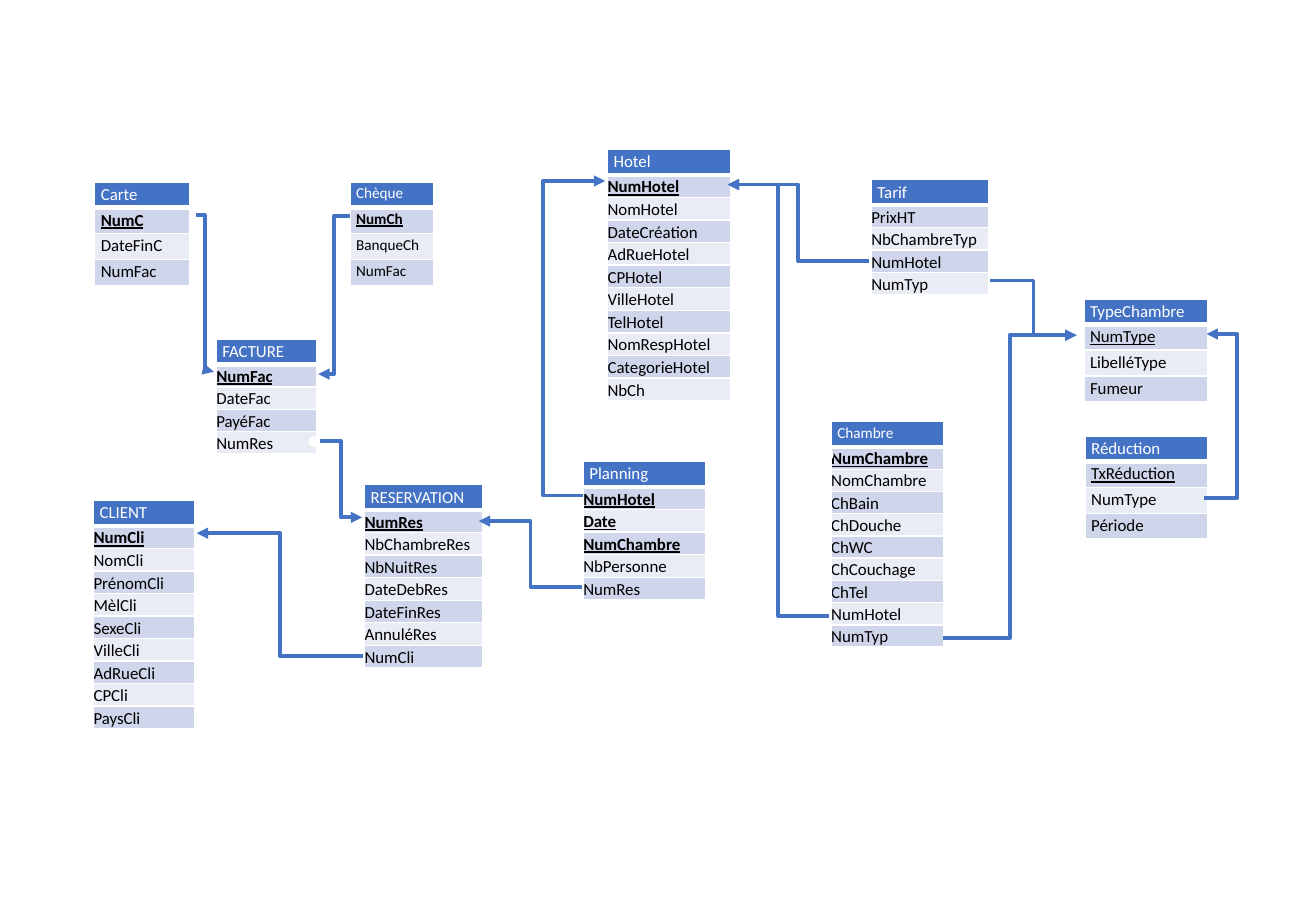
from lxml import etree
from pptx import Presentation
from pptx.dml.color import RGBColor
from pptx.enum.shapes import MSO_CONNECTOR, MSO_SHAPE
from pptx.enum.text import MSO_ANCHOR
from pptx.oxml.ns import qn
from pptx.util import Inches, Pt

ELBOW = MSO_CONNECTOR.ELBOW
OVAL = MSO_SHAPE.OVAL
TOP, BOTTOM = MSO_ANCHOR.TOP, MSO_ANCHOR.BOTTOM

COLORS = {
    "blue": "4472C4",
    "odd": "CFD5EA",
    "even": "E9EBF5",
    "white": "FFFFFF",
    "black": "000000",
}
FONT = "Calibri"
HEADER_HEIGHT = 0.21
DOT_SIZE = 0.09

# left, top, width, height, name, fields, format
ENTITIES = [
    (1.78, 2.79, 0.83, 0.95, "FACTURE", "NumFac DateFac PayéFac NumRes", {}),
    (2.88, 1.5, 0.69, 0.85, "Chèque", "NumCh BanqueCh NumFac",
     {"padded": True, "size": 9, "header_size": 9}),
    (0.78, 1.5, 0.78, 0.85, "Carte", "NumC DateFinC NumFac", {"padded": True}),
    (0.77, 4.12, 0.83, 1.88, "CLIENT",
     "NumCli NomCli PrénomCli MèlCli SexeCli VilleCli AdRueCli CPCli PaysCli", {}),
    (3, 3.99, 0.97, 1.51, "RESERVATION",
     "NumRes NbChambreRes NbNuitRes DateDebRes DateFinRes AnnuléRes NumCli", {}),
    (5, 1.23, 1.01, 2.07, "Hotel",
     "NumHotel NomHotel DateCréation AdRueHotel CPHotel VilleHotel TelHotel "
     "NomRespHotel CategorieHotel NbCh", {}),
    (7.17, 1.48, 0.97, 0.95, "Tarif", "PrixHT NbChambreTyp NumHotel NumTyp", {"keys": 0}),
    (8.92, 2.46, 1.02, 0.85, "TypeChambre", "NumType LibelléType Fumeur",
     {"padded": True, "bold_keys": False}),
    (8.93, 3.59, 1.01, 0.85, "Réduction", "TxRéduction NumType Période",
     {"padded": True, "bold_keys": False}),
    (4.8, 3.8, 1.01, 1.14, "Planning", "NumHotel Date NumChambre NbPersonne NumRes",
     {"keys": 3}),
    (6.84, 3.47, 0.93, 1.86, "Chambre",
     "NumChambre NomChambre ChBain ChDouche ChWC ChCouchage ChTel NumHotel NumTyp",
     {"header_size": 9}),
]

DOTS = [(2.54, 3.59), (6.77, 3.7)]

# start, end, x of the vertical part (None: halfway)
LINKS = [
    ((1.61, 1.77), (1.76, 3.06), None),
    ((2.88, 1.78), (2.62, 3.08), None),
    ((2.63, 3.63), (2.98, 4.26), None),
    ((4.79, 4.83), (3.94, 4.29), None),
    ((4.8, 4.08), (4.98, 1.49), 4.47),
    ((2.99, 5.4), (1.62, 4.39), None),
    ((6.82, 5.07), (5.99, 1.52), None),
    ((7.15, 2.15), (5.99, 1.52), None),
    ((9.91, 4.1), (9.93, 2.75), 10.18),
    ((8.15, 2.31), (8.86, 2.76), None),
    ((7.76, 5.25), (8.86, 2.76), None),
]


def rgb(name):
    return RGBColor.from_string(COLORS[name])


def write(frame, text, *, size=10, color="black", bold=False, underline=False):
    span = frame.paragraphs[0].add_run()
    span.text = text
    font = span.font
    font.name, font.size = FONT, Pt(size)
    font.bold, font.underline = bold, underline
    font.color.rgb = rgb(color)


class Diagram:
    """Draws the elements of a relational schema on one slide."""

    def __init__(self, page):
        self.page = page

    def style_cell(self, cell, fill, padded, bottom_width):
        cell.margin_left = cell.margin_right = Inches(0.05 if padded else 0)
        cell.margin_top = cell.margin_bottom = Inches(0.02 if padded else 0)
        cell.vertical_anchor = TOP if padded else BOTTOM
        properties = cell._tc.get_or_add_tcPr()
        for side in ("lnL", "lnR", "lnT", "lnB"):
            width = bottom_width if side == "lnB" else 1
            border = etree.SubElement(properties, qn(f"a:{side}"), w=str(Pt(width)))
            solid = etree.SubElement(border, qn("a:solidFill"))
            etree.SubElement(solid, qn("a:srgbClr"), val=COLORS["white"])
        cell.fill.solid()
        cell.fill.fore_color.rgb = rgb(fill)

    def entity(self, left, top, width, height, name, fields, *, keys=1,
               bold_keys=True, padded=False, size=10, header_size=10):
        """Adds a table with a header and one row a field; the first fields are keys."""
        fields = fields.split()
        table = self.page.shapes.add_table(
            len(fields) + 1, 1, Inches(left), Inches(top), Inches(width), Inches(height)
        ).table
        table.first_row = table.horz_banding = False
        table.rows[0].height = Inches(HEADER_HEIGHT)
        header = table.cell(0, 0)
        self.style_cell(header, "blue", True, 3)
        write(header.text_frame, name, size=header_size, color="white")
        for number, field in enumerate(fields, 1):
            table.rows[number].height = Inches((height - HEADER_HEIGHT) / len(fields))
            cell = table.cell(number, 0)
            self.style_cell(cell, "odd" if number % 2 else "even", padded, 1)
            is_key = number <= keys
            write(cell.text_frame, field, size=size, bold=is_key and bold_keys,
                  underline=is_key)

    def dot(self, left, top):
        dot = self.page.shapes.add_shape(
            OVAL, Inches(left), Inches(top), Inches(DOT_SIZE), Inches(DOT_SIZE))
        dot.shadow.inherit = False
        dot.fill.solid()
        dot.fill.fore_color.rgb = rgb("white")
        dot.line.fill.background()

    def link(self, start, end, bend_x):
        """Adds an elbow arrow whose vertical part stands at bend_x."""
        connector = self.page.shapes.add_connector(
            ELBOW, *(Inches(value) for value in start + end))
        connector.line.color.rgb = rgb("blue")
        connector.line.width = Pt(2.25)
        properties = connector._element.spPr
        etree.SubElement(properties.find(qn("a:ln")), qn("a:tailEnd"), type="triangle")
        etree.SubElement(properties, qn("a:effectLst"))
        if bend_x is not None:
            share = round((bend_x - start[0]) / (end[0] - start[0]) * 100000)
            guides = properties.find(qn("a:prstGeom")).find(qn("a:avLst"))
            etree.SubElement(guides, qn("a:gd"), name="adj1", fmla=f"val {share}")


def main():
    deck = Presentation()
    deck.slide_width, deck.slide_height = Inches(10.83), Inches(7.5)
    diagram = Diagram(deck.slides.add_slide(deck.slide_layouts[6]))
    for *place, name, fields, style in ENTITIES:
        diagram.entity(*place, name, fields, **style)
    for place in DOTS:
        diagram.dot(*place)
    for link in LINKS:
        diagram.link(*link)
    deck.save("out.pptx")


if __name__ == "__main__":
    main()
